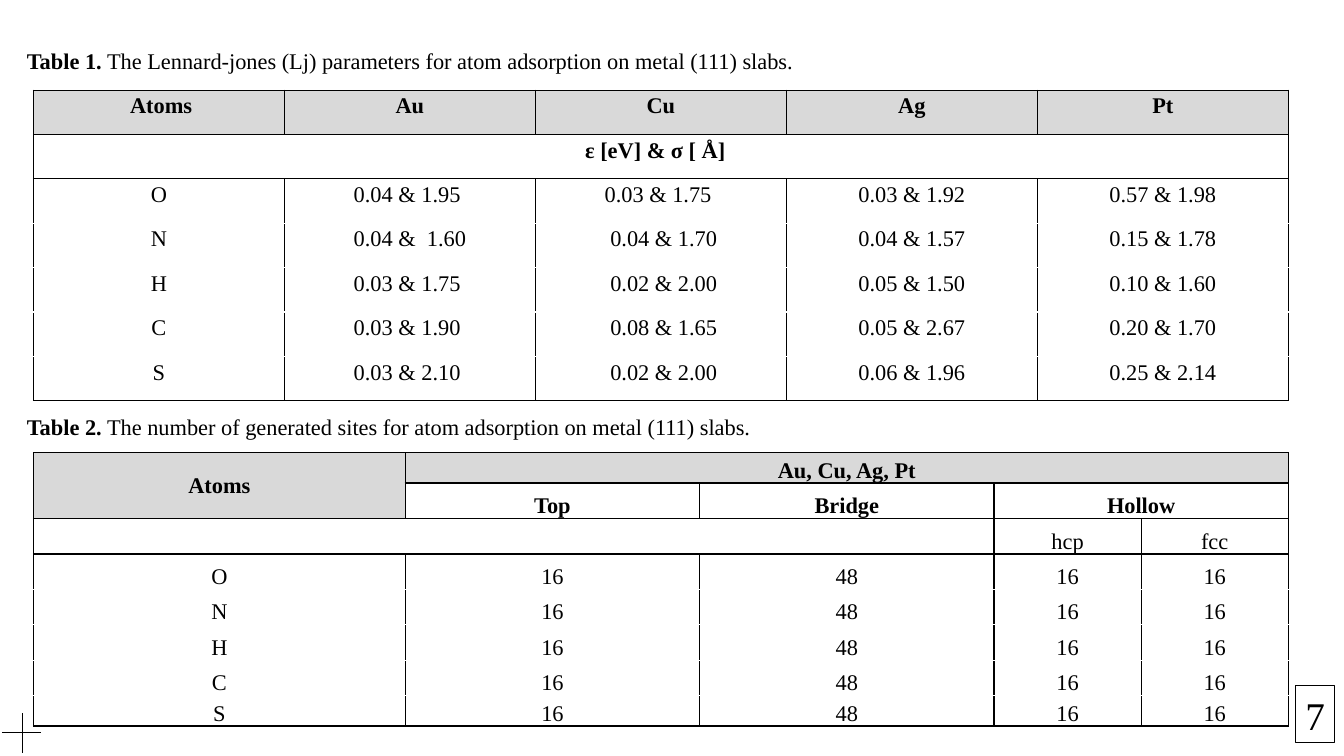
from lxml.etree import SubElement
from pptx import Presentation
from pptx.dml.color import RGBColor
from pptx.enum.shapes import MSO_CONNECTOR, MSO_SHAPE
from pptx.enum.text import MSO_ANCHOR, PP_ALIGN
from pptx.oxml.ns import qn
from pptx.util import Pt

COLORS = {"ink": "000000", "paper": "FFFFFF", "header": "D9D9D9"}
FONT = "Times New Roman"
BOLD_ROWS = 2


def style_font(font, size, bold=False):
    font.name = FONT
    font.size = Pt(size)
    font.bold = bold
    font.color.rgb = RGBColor.from_string(COLORS["ink"])


def add_grid(top, rows, widths, heights, merges, first_body, margins, anchor, line_spacing, space_after):
    frame = slide.shapes.add_table(len(rows), len(widths), Pt(23.9), Pt(top), Pt(sum(widths)), Pt(sum(heights)))
    table = frame.table
    table.first_row = False
    table.horz_banding = False
    for column, width in zip(table.columns, widths):
        column.width = Pt(width)
    for row, height in zip(table.rows, heights):
        row.height = Pt(height)
    for start, end in merges:
        table.cell(*start).merge(table.cell(*end))
    for row_index, values in enumerate(rows):
        edges = {"a:lnL": "ink", "a:lnR": "ink", "a:lnT": "ink", "a:lnB": "ink"}
        if row_index > first_body:
            edges["a:lnT"] = "paper"
        if first_body <= row_index < len(rows) - 1:
            edges["a:lnB"] = "paper"
        for column_index, value in enumerate(values):
            cell = table.cell(row_index, column_index)
            cell.margin_left, cell.margin_top, cell.margin_right, cell.margin_bottom = map(Pt, margins)
            cell.vertical_anchor = anchor
            properties = cell._tc.get_or_add_tcPr()
            for tag, color in edges.items():
                line = SubElement(properties, qn(tag), w=str(Pt(1)))
                fill = SubElement(line, qn("a:solidFill"))
                SubElement(fill, qn("a:srgbClr"), val=COLORS[color])
            cell.fill.solid()
            cell.fill.fore_color.rgb = RGBColor.from_string(COLORS["paper" if row_index else "header"])
            cell.text = value
            paragraph = cell.text_frame.paragraphs[0]
            paragraph.alignment = PP_ALIGN.CENTER
            paragraph.line_spacing = line_spacing
            paragraph.space_after = Pt(space_after)
            style_font(paragraph.font, 16, row_index < BOLD_ROWS)
    return table


presentation = Presentation()
presentation.slide_width = Pt(960)
presentation.slide_height = Pt(540)
slide = presentation.slides.add_slide(presentation.slide_layouts[6])

captions = [
    (30.2, "Table 1.", " The Lennard-jones (Lj) parameters for atom adsorption on metal (111) slabs."),
    (291.6, "Table 2.", " The number of generated sites for atom adsorption on metal (111) slabs."),
]
for top, label, description in captions:
    caption = slide.shapes.add_textbox(Pt(12.2), Pt(top), Pt(936), Pt(26.6))
    caption.text_frame.word_wrap = True
    paragraph = caption.text_frame.paragraphs[0]
    for text, bold in ((label, True), (description, False)):
        run = paragraph.add_run()
        run.text = text
        style_font(run.font, 16, bold)

for start_x, start_y, end_x, end_y in ((1.4, 523.4, 29.5, 523.4), (15.8, 537.8, 15.8, 509)):
    cross_line = slide.shapes.add_connector(
        MSO_CONNECTOR.STRAIGHT, Pt(start_x), Pt(start_y), Pt(end_x), Pt(end_y))
    cross_line.line.color.rgb = RGBColor.from_string(COLORS["ink"])
    cross_line.line.width = Pt(0.72)
    SubElement(cross_line._element.spPr, qn("a:effectLst"))

number_frame = slide.shapes.add_shape(MSO_SHAPE.RECTANGLE, Pt(925.2), Pt(489.6), Pt(28.1), Pt(41))
number_frame.shadow.inherit = False
number_frame.fill.background()
number_frame.line.color.rgb = RGBColor.from_string(COLORS["ink"])
number_frame.line.width = Pt(0.72)

page_number = slide.shapes.add_textbox(Pt(911.5), Pt(499.7), Pt(40.3), Pt(27.4))
text_frame = page_number.text_frame
text_frame.word_wrap = True
text_frame.margin_left = text_frame.margin_top = text_frame.margin_right = text_frame.margin_bottom = 0
paragraph = text_frame.paragraphs[0]
paragraph.text = "7"
paragraph.line_spacing = Pt(27.4)
paragraph._p.get_or_add_pPr().set("marL", str(Pt(20.9)))
style_font(paragraph.font, 28)
paragraph.runs[0]._r.get_or_add_rPr().set("spc", "-50")

parameter_rows = [
    [" Atoms", "Au", "Cu", "Ag", "Pt"],
    ["ε [eV] & σ [ Å]  ", "", "", "", ""],
    ["O", "0.04 & 1.95 ", "0.03 & 1.75 ", "0.03 & 1.92", "0.57 & 1.98"],
    ["N", "0.04 &  1.60", " 0.04 & 1.70", "0.04 & 1.57", "0.15 & 1.78"],
    ["H", "0.03 & 1.75 ", " 0.02 & 2.00", "0.05 & 1.50", "0.10 & 1.60"],
    ["C", "0.03 & 1.90 ", " 0.08 & 1.65", "0.05 & 2.67", "0.20 & 1.70"],
    ["S", "0.03 & 2.10 ", " 0.02 & 2.00", "0.06 & 1.96", "0.25 & 2.14"],
]
add_grid(64.4, parameter_rows, [179.28] * 5, [31.7] * 7, [((1, 0), (1, 4))], 2,
         (5, 0, 5, 0), MSO_ANCHOR.TOP, 1.15, 8)

site_rows = [
    ["Atoms", "Au, Cu, Ag, Pt", "", "", ""],
    ["", "Top", "Bridge", "Hollow", ""],
    ["", "", "", "hcp", "fcc"],
]
site_rows += [[atom, "16", "48", "16", "16"] for atom in "ONHCS"]
site_merges = [((0, 0), (1, 0)), ((0, 1), (0, 4)), ((1, 3), (1, 4)), ((2, 0), (2, 2))]
site_table = add_grid(323.5, site_rows, [265.6, 210.3, 210.3, 105.1, 105.1],
                      [21.5] + [25.35] * 6 + [21.5], site_merges, 3,
                      (0.7, 0.7, 0.7, 0), MSO_ANCHOR.BOTTOM, 1, 0)
site_table.cell(0, 0).vertical_anchor = MSO_ANCHOR.MIDDLE

presentation.save("out.pptx")
